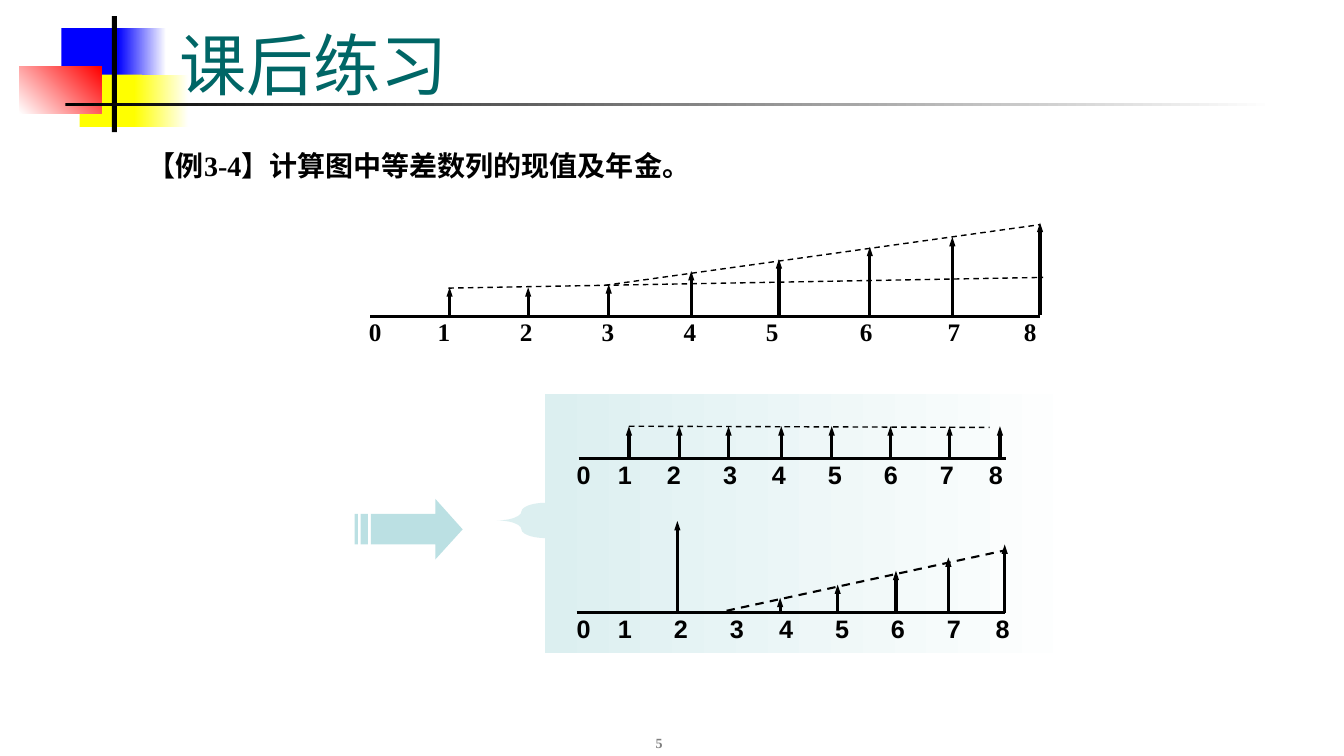
from dataclasses import dataclass

from lxml import etree
from pptx import Presentation
from pptx.dml.color import RGBColor
from pptx.enum.dml import MSO_LINE
from pptx.enum.shapes import MSO_CONNECTOR, MSO_SHAPE
from pptx.enum.text import MSO_ANCHOR, PP_ALIGN
from pptx.oxml.ns import qn
from pptx.util import Cm, Pt

RECTANGLE = MSO_SHAPE.RECTANGLE
LEFT_BRACE = MSO_SHAPE.LEFT_BRACE
STRAIGHT = MSO_CONNECTOR.STRAIGHT
DASH = MSO_LINE.DASH
TOP, BOTTOM = MSO_ANCHOR.TOP, MSO_ANCHOR.BOTTOM
LEFT, CENTER = PP_ALIGN.LEFT, PP_ALIGN.CENTER

BLACK = RGBColor(0x00, 0x00, 0x00)
WHITE = RGBColor(0xFF, 0xFF, 0xFF)
BLUE = RGBColor(0x00, 0x00, 0xFF)
YELLOW = RGBColor(0xFF, 0xFF, 0x00)
RED = RGBColor(0xFF, 0x00, 0x00)
GRAY = RGBColor(0x80, 0x80, 0x80)
TEAL = RGBColor(0x00, 0x66, 0x66)
PALE_TEAL = RGBColor(0xDC, 0xEF, 0xF0)
ARROW_TEAL = RGBColor(0xBB, 0xE0, 0xE3)

SERIF, SANS = "Times New Roman", "Arial"
AXIS_WIDTH = 2.25

Point = tuple[float, float]
Box = tuple[float, float, float, float]


@dataclass(frozen=True)
class Block:
    box: Box
    colors: tuple[RGBColor, ...]
    angle: float = 0


@dataclass(frozen=True)
class Caption:
    text: str
    box: Box
    size: float
    color: RGBColor = BLACK
    font: str = SERIF
    bold: bool = True
    anchor: MSO_ANCHOR = TOP
    align: PP_ALIGN = LEFT
    spacing: float = 1.0
    inset: bool = True
    tab_stops: tuple[float, ...] = ()


@dataclass(frozen=True)
class CashFlow:
    axis_start: Point
    axis_end: float
    base: float
    arrows: tuple[Point, ...]
    trends: tuple[tuple[Point, Point], ...]
    trend_width: float
    labels_box: Box
    label_stops: tuple[float, ...]
    font: str


DECORATION = (
    Block((1.55, 0.71, 1.63, 1.32), (BLUE,)),
    Block((2.97, 0.71, 1.22, 1.32), (BLUE, WHITE)),
    Block((2.01, 1.88, 1.57, 1.32), (YELLOW,)),
    Block((3.38, 1.88, 1.37, 1.32), (YELLOW, WHITE)),
    Block((0.48, 1.68, 2.08, 1.17), (WHITE, RED), 45),
    Block((2.82, 0.41, 0.13, 2.92), (BLACK,)),
    Block((1.65, 2.59, 30.48, 0.08), (BLACK, WHITE)),
)
PANEL = Block((13.74, 9.93, 13.61, 6.53), (PALE_TEAL, WHITE))
BRACE = Block((12.52, 12.67, 1.24, 0.89), (PALE_TEAL,))

CAPTIONS = (
    Caption("课后练习", (4.27, 0.41, 28.85, 2.34), 48, TEAL, bold=False, anchor=BOTTOM),
    Caption("【例3-4】计算图中等差数列的现值及年金。", (3.48, 3.28, 19.35, 1.32), 20, spacing=1.4),
    Caption("5", (13.08, 17.78, 7.06, 1.27), 10, GRAY, anchor=BOTTOM, align=CENTER),
)

COMBINED = CashFlow(
    (9.33, 7.98), 26.21, 7.95,
    ((11.33, 7.24), (13.31, 7.24), (15.34, 7.16), (17.42, 6.83),
     (19.63, 6.53), (21.92, 6.22), (24.0, 5.97), (26.21, 5.61)),
    (((15.24, 7.19), (26.21, 5.66)), ((11.3, 7.26), (26.29, 6.99))), 1,
    (9.3, 7.77, 17, 0.89),
    (1.89, 3.96, 6.02, 8.09, 10.16, 12.53, 14.74, 16.66), SERIF)
UNIFORM = CashFlow(
    (14.58, 11.56), 25.35, 11.52,
    tuple((x, 10.74) for x in (15.85, 17.12, 18.36, 19.69, 20.96, 22.44, 23.93, 25.2)),
    (((15.85, 10.74), (24.94, 10.77)),), 1,
    (14.53, 11.35, 11.05, 0.89),
    (1.22, 2.45, 3.87, 5.1, 6.51, 7.92, 9.33, 10.57), SANS)
GRADIENT = CashFlow(
    (14.53, 15.44), 25.32, 15.44,
    ((17.07, 13.13), (19.66, 15.06), (21.11, 14.73), (22.58, 14.38),
     (23.9, 14.05), (25.32, 13.72)),
    (((18.31, 15.39), (25.32, 13.87)),), 1.5,
    (14.53, 15.24, 11.05, 0.89),
    (1.22, 2.63, 4.04, 5.28, 6.69, 8.1, 9.51, 10.74), SANS)

SHAFT_TOP, SHAFT_BOTTOM = 12.95, 13.72
ARROW_HEAD = ((10.97, 12.57), (10.97, SHAFT_TOP), (9.35, SHAFT_TOP), (9.35, SHAFT_BOTTOM),
              (10.97, SHAFT_BOTTOM), (10.97, 14.1), (11.66, 13.34))
ARROW_STRIPES = ((9.09, 9.27), (8.94, 9.02))


def draw_block(shapes, block: Block, preset: MSO_SHAPE = RECTANGLE):
    area = shapes.add_shape(preset, *map(Cm, block.box))
    area.shadow.inherit = False
    area.line.fill.background()
    if len(block.colors) == 1:
        area.fill.solid()
        area.fill.fore_color.rgb = block.colors[0]
    else:
        area.fill.gradient()
        area.fill.gradient_angle = block.angle
        for stop, color in zip(area.fill.gradient_stops, block.colors):
            stop.color.rgb = color
    return area


def draw_caption(shapes, caption: Caption) -> None:
    frame = shapes.add_textbox(*map(Cm, caption.box)).text_frame
    frame.word_wrap = caption.inset
    frame.vertical_anchor = caption.anchor
    if not caption.inset:
        for side in ("left", "top", "right", "bottom"):
            setattr(frame, f"margin_{side}", Cm(0))
    paragraph = frame.paragraphs[0]
    paragraph.text = caption.text
    paragraph.alignment = caption.align
    paragraph.line_spacing = caption.spacing
    if caption.tab_stops:
        stops = etree.SubElement(paragraph._p.get_or_add_pPr(), qn("a:tabLst"))
        for position in caption.tab_stops:
            etree.SubElement(stops, qn("a:tab"), pos=str(Cm(position)), algn="ctr")
    font = paragraph.runs[0].font
    formats = {"name": caption.font, "size": Pt(caption.size), "bold": caption.bold}
    for attribute, value in formats.items():
        setattr(font, attribute, value)
    font.color.rgb = caption.color


def draw_line(shapes, start: Point, end: Point, width: float = AXIS_WIDTH,
              dashed: bool = False, arrow: bool = False) -> None:
    connector = shapes.add_connector(STRAIGHT, *map(Cm, (*start, *end)))
    connector.line.color.rgb = BLACK
    connector.line.width = Pt(width)
    if dashed:
        connector.line.dash_style = DASH
    properties = connector._element.spPr
    if arrow:
        etree.SubElement(properties.find(qn("a:ln")), qn("a:tailEnd"),
                         type="triangle", w="sm", len="med")
    etree.SubElement(properties, qn("a:effectLst"))


def draw_cash_flow(shapes, flow: CashFlow) -> None:
    draw_line(shapes, flow.axis_start, (flow.axis_end, flow.axis_start[1]))
    for x, tip in flow.arrows:
        draw_line(shapes, (x, flow.base), (x, tip), arrow=True)
    for start, end in flow.trends:
        draw_line(shapes, start, end, flow.trend_width, dashed=True)
    years = "\t".join(str(year) for year in range(9))
    draw_caption(shapes, Caption(years, flow.labels_box, 18, font=flow.font, spacing=1.28,
                                 inset=False, tab_stops=flow.label_stops))


def draw_striped_arrow(shapes) -> None:
    to_emu = lambda points: [(Cm(x), Cm(y)) for x, y in points]
    head = to_emu(ARROW_HEAD)
    builder = shapes.build_freeform(*head[0])
    builder.add_line_segments(head[1:], close=True)
    for left, right in ARROW_STRIPES:
        stripe = to_emu(((left, SHAFT_TOP), (left, SHAFT_BOTTOM),
                         (right, SHAFT_BOTTOM), (right, SHAFT_TOP)))
        builder.move_to(*stripe[0])
        builder.add_line_segments(stripe[1:], close=True)
    arrow = builder.convert_to_shape()
    arrow.shadow.inherit = False
    arrow.fill.solid()
    arrow.fill.fore_color.rgb = ARROW_TEAL
    arrow.line.fill.background()


def main() -> None:
    deck = Presentation()
    deck.slide_width, deck.slide_height = Cm(33.87), Cm(19.05)
    shapes = deck.slides.add_slide(deck.slide_layouts[6]).shapes
    for block in (*DECORATION, PANEL):
        draw_block(shapes, block)
    brace = draw_block(shapes, BRACE, LEFT_BRACE)
    brace.adjustments[0] = 0.43
    for flow in (COMBINED, UNIFORM, GRADIENT):
        draw_cash_flow(shapes, flow)
    draw_striped_arrow(shapes)
    for caption in CAPTIONS:
        draw_caption(shapes, caption)
    deck.save("out.pptx")


if __name__ == "__main__":
    main()
